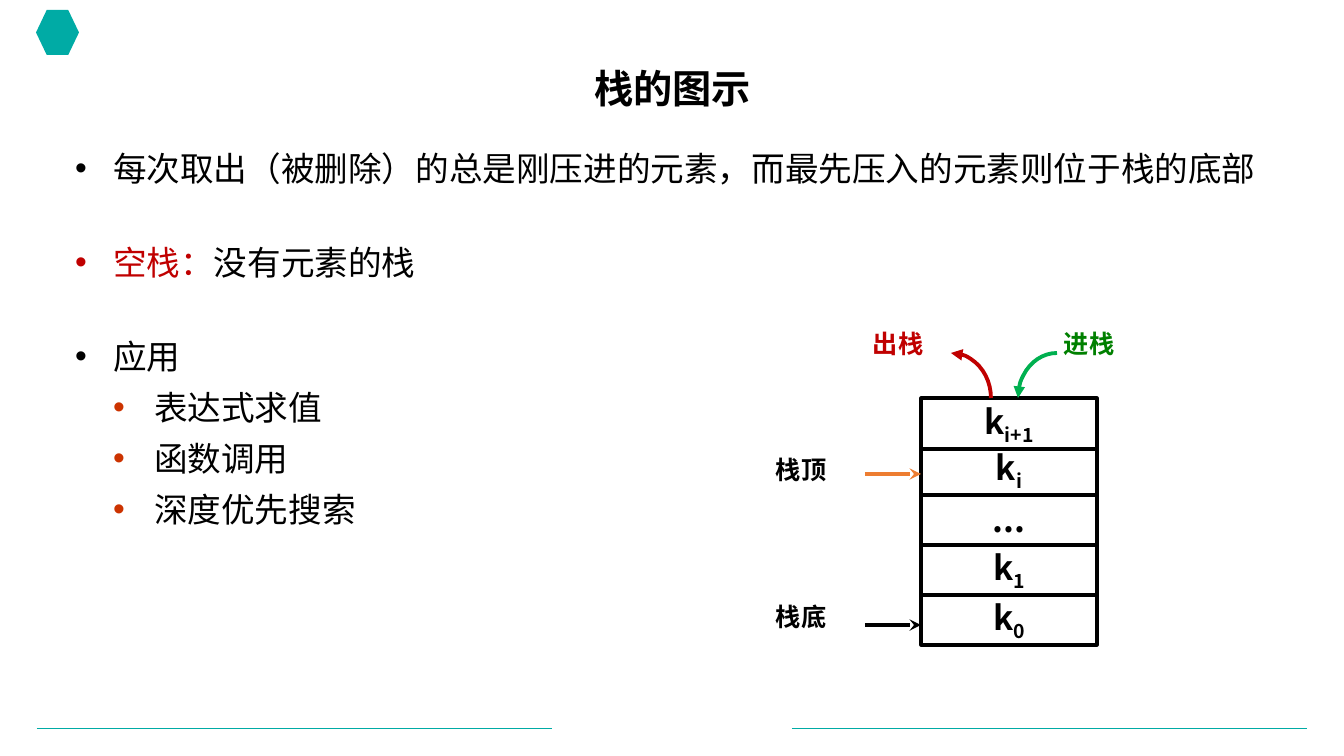
from lxml import etree
from pptx import Presentation
from pptx.dml.color import RGBColor
from pptx.enum.shapes import MSO_CONNECTOR, MSO_SHAPE
from pptx.enum.text import MSO_ANCHOR, MSO_AUTO_SIZE, PP_ALIGN
from pptx.oxml.ns import qn
from pptx.util import Pt

PX = 12192000 // 1344
FONT = "Noto Sans CJK SC"
BLACK = RGBColor(0, 0, 0)
WHITE = RGBColor(255, 255, 255)
TEAL = RGBColor(0x00, 0xAB, 0xA5)
RED = RGBColor(0xC0, 0x00, 0x00)
RUST = RGBColor(0xCC, 0x33, 0x00)
ORANGE = RGBColor(0xED, 0x7D, 0x31)
GREEN = RGBColor(0x00, 0xB0, 0x50)
DARK_GREEN = RGBColor(0x00, 0x80, 0x00)
CENTER, LEFT = PP_ALIGN.CENTER, PP_ALIGN.LEFT
MIDDLE, TOP = MSO_ANCHOR.MIDDLE, MSO_ANCHOR.TOP
NO_FIT = MSO_AUTO_SIZE.NONE
STRAIGHT = MSO_CONNECTOR.STRAIGHT
RECTANGLE, ARC, HEXAGON = MSO_SHAPE.RECTANGLE, MSO_SHAPE.ARC, MSO_SHAPE.HEXAGON


def style(para, size, color=BLACK, bold=False, align=LEFT):
    para.alignment = align
    para.font.name = FONT
    para.font.size = Pt(size)
    para.font.bold = bold
    para.font.color.rgb = color
    defaults = para._p.get_or_add_pPr().find(qn("a:defRPr"))
    etree.SubElement(defaults, qn("a:ea"), typeface=FONT)


def draw_line(x1, x2, y, color, width):
    line = page.shapes.add_connector(STRAIGHT, x1 * PX, y * PX, x2 * PX, y * PX)
    line.line.color.rgb = color
    line.line.width = Pt(width)
    etree.SubElement(line._element.spPr, qn("a:effectLst"))
    return line


deck = Presentation()
deck.slide_width = 1344 * PX
deck.slide_height = 756 * PX
page = deck.slides.add_slide(deck.slide_layouts[1])

for left, right in [(37, 552), (792, 1307)]:
    draw_line(left, right, 728, TEAL, 0.5)

emblem = page.shapes.add_shape(HEXAGON, 36 * PX, 10 * PX, 43 * PX, 45 * PX)
emblem.shadow.inherit = False
emblem.fill.solid()
emblem.fill.fore_color.rgb = TEAL
emblem.line.fill.background()

title = page.shapes.title
title.left, title.top, title.width, title.height = 93 * PX, 62 * PX, 1159 * PX, 57 * PX
title.text_frame.text = "栈的图示"
title.text_frame.auto_size = NO_FIT
title.text_frame.vertical_anchor = MIDDLE
title.text_frame.paragraphs[0].line_spacing = 0.9
style(title.text_frame.paragraphs[0], 28, bold=True, align=CENTER)

body = page.placeholders[1]
body.left, body.top, body.width, body.height = 65 * PX, 141 * PX, 1219 * PX, 557 * PX
body.text_frame.auto_size = NO_FIT
body.text_frame.vertical_anchor = TOP
points = [
    (0, 6, BLACK, [("每次取出（被删除）的总是刚压进的元素，而最先压入的元素则位于栈的底部", BLACK)]),
    (0, 37, RED, [("空栈：", RED), ("没有元素的栈", BLACK)]),
    (0, 37, BLACK, [("应用", BLACK)]),
    (1, 6, RUST, [("表达式求值", BLACK)]),
    (1, 6, RUST, [("函数调用", BLACK)]),
    (1, 6, RUST, [("深度优先搜索", BLACK)]),
]
indents = [(38, -38), (79, -41)]
for index, (level, gap, bullet_color, spans) in enumerate(points):
    para = body.text_frame.add_paragraph() if index else body.text_frame.paragraphs[0]
    para.level = level
    para.line_spacing = 1.05
    para.space_before = Pt(gap)
    properties = para._p.get_or_add_pPr()
    margin, indent = indents[level]
    properties.set("marL", str(margin * PX))
    properties.set("indent", str(indent * PX))
    bullet = etree.SubElement(properties, qn("a:buClr"))
    etree.SubElement(bullet, qn("a:srgbClr"), val=str(bullet_color))
    etree.SubElement(properties, qn("a:buFont"), typeface="Arial")
    etree.SubElement(properties, qn("a:buChar"), char="•")
    style(para, 24)
    for text, color in spans:
        span = para.add_run()
        span.text = text
        if color != BLACK:
            span.font.color.rgb = color

cells = [("k", "0"), ("k", "1"), ("...", ""), ("k", "i"), ("k", "i+1")]
for level, (symbol, subscript) in enumerate(cells):
    top = max(594 - 50 * level, 398)
    cell = page.shapes.add_shape(RECTANGLE, 921 * PX, top * PX, 176 * PX, 51 * PX)
    cell.shadow.inherit = False
    cell.fill.solid()
    cell.fill.fore_color.rgb = WHITE
    cell.line.color.rgb = BLACK
    cell.line.width = Pt(2.25)
    frame = cell.text_frame
    frame.margin_top = frame.margin_bottom = 0
    frame.vertical_anchor = MIDDLE
    para = frame.paragraphs[0]
    style(para, 24, bold=True, align=CENTER)
    para.add_run().text = symbol
    if subscript:
        span = para.add_run()
        span.text = subscript
        span._r.get_or_add_rPr().set("baseline", "-25000")

labels = [
    ("栈顶", 766, 449, BLACK),
    ("栈底", 766, 596, BLACK),
    ("出栈", 863, 323, RED),
    ("进栈", 1054, 323, DARK_GREEN),
]
for text, left, top, color in labels:
    box = page.shapes.add_textbox(left * PX, top * PX, 96 * PX, 40 * PX)
    box.text_frame.word_wrap = True
    box.text_frame.text = text
    style(box.text_frame.paragraphs[0], 18, color, bold=True)

for y, color in [(474, ORANGE), (625, BLACK)]:
    pointer = draw_line(865, 921, y, color, 2.75)
    etree.SubElement(pointer.line._get_or_add_ln(), qn("a:tailEnd"), type="stealth")

for left, width, start, end, color in [(911, 80, 162, 0, RED), (1018, 78, 108, 162, GREEN)]:
    curve = page.shapes.add_shape(ARC, left * PX, 353 * PX, width * PX, 90 * PX)
    curve.shadow.inherit = False
    curve.adjustments[0] = start
    curve.adjustments[1] = end
    curve.fill.background()
    curve.line.color.rgb = color
    curve.line.width = Pt(2.75)
    etree.SubElement(curve.line._get_or_add_ln(), qn("a:headEnd"), type="triangle")

deck.save("out.pptx")
